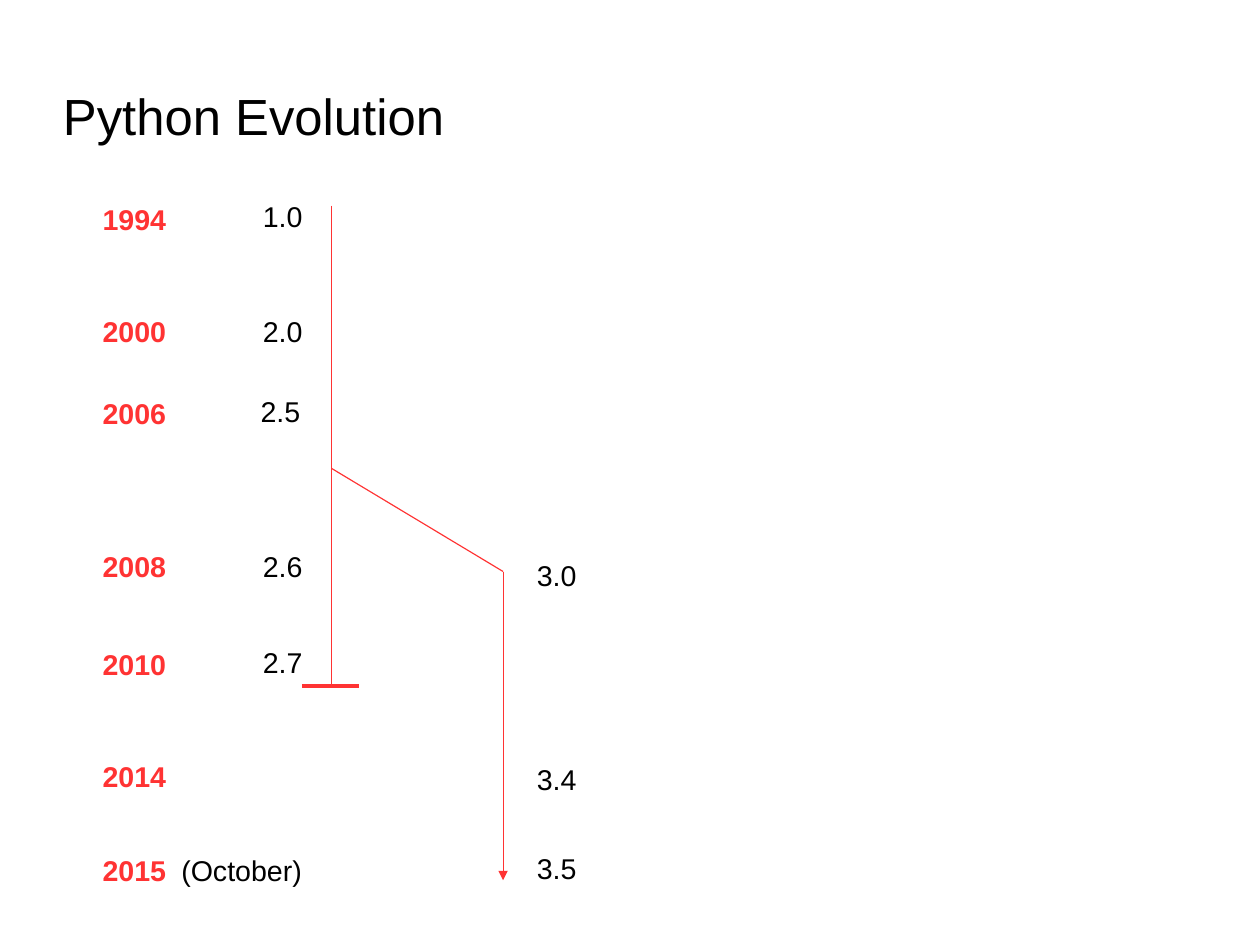
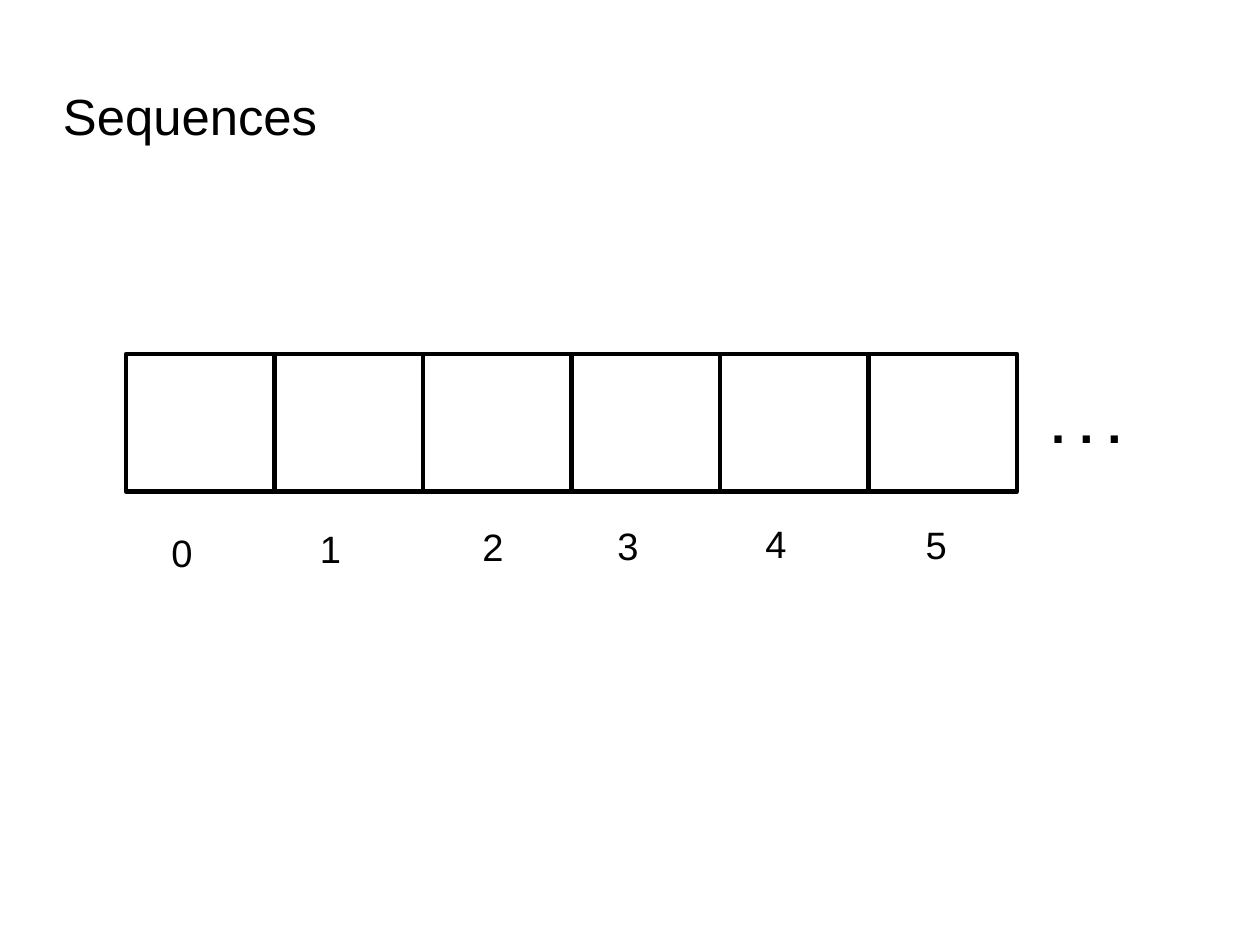
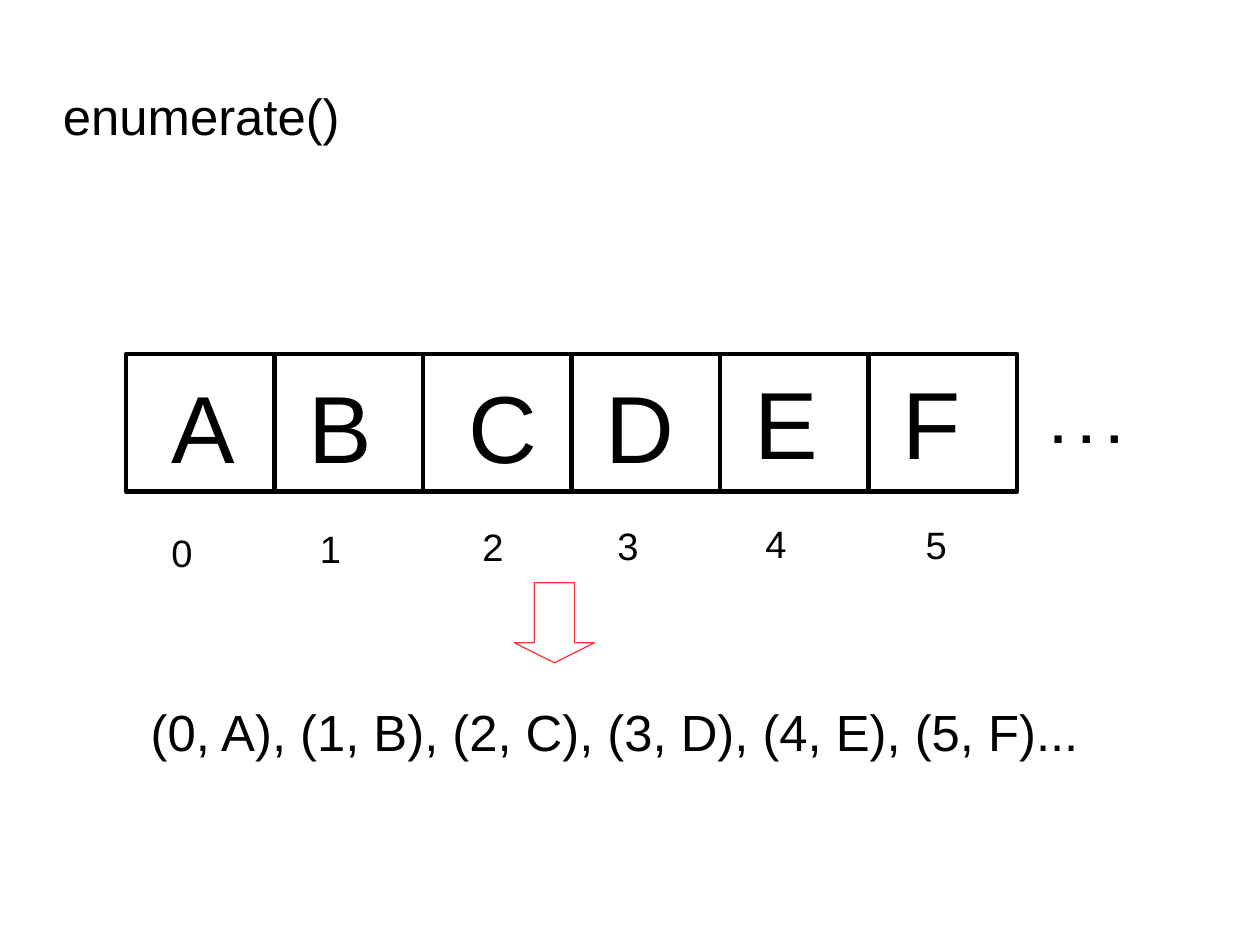
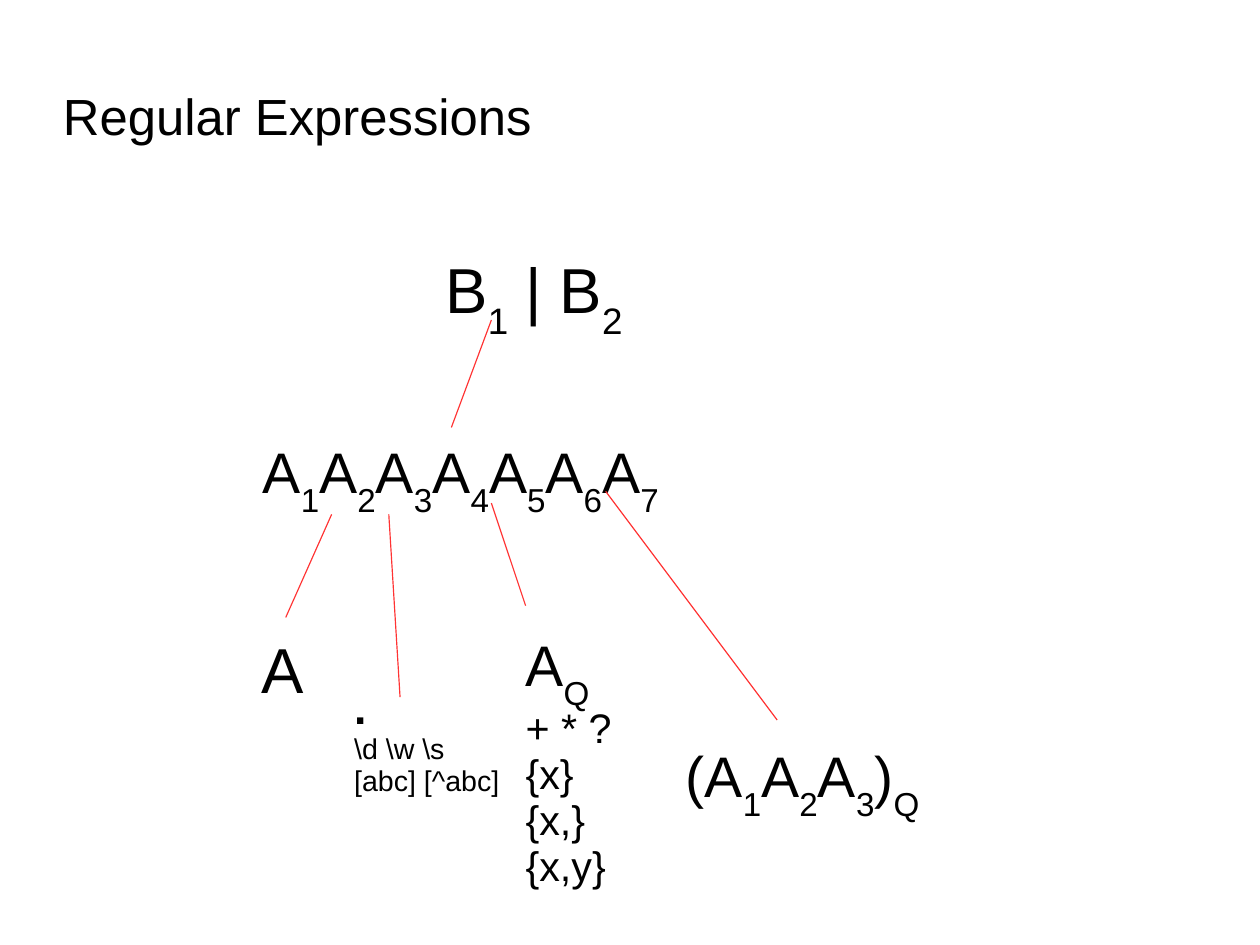
from collections import namedtuple
from dataclasses import dataclass

from lxml import etree
from pptx import Presentation
from pptx.dml.color import RGBColor
from pptx.enum import shapes, text
from pptx.oxml.ns import qn
from pptx.util import Cm, Pt

Style = namedtuple("Style", "size bold color")
BLACK = RGBColor(0x00, 0x00, 0x00)
RED = RGBColor(0xFF, 0x33, 0x33)


@dataclass(frozen=True)
class Theme:
    font: str = "Arial"
    ink: RGBColor = BLACK
    accent: RGBColor = RED
    thin: float = 0.75
    thick: float = 2.89
    spacing: float = 0.93
    title: Style = Style(32, False, BLACK)
    body: Style = Style(18, False, BLACK)
    year: Style = Style(18, True, RED)
    index: Style = Style(24, False, BLACK)
    quantifier: Style = Style(26, False, BLACK)
    dot: Style = Style(28, True, BLACK)
    ellipsis: Style = Style(32, True, BLACK)
    term: Style = Style(36, False, BLACK)
    symbol: Style = Style(40, False, BLACK)
    letter: Style = Style(60, False, BLACK)


theme = Theme()


def add_text(s, x, y, w, h, *lines):
    """Add a box of (string, style) lines; an underscore lowers the next character."""
    tf = s.shapes.add_textbox(Cm(x), Cm(y), Cm(w), Cm(h)).text_frame
    tf.word_wrap = True
    tf.margin_left = tf.margin_right = Cm(0.25)
    tf.margin_top, tf.margin_bottom = Cm(0.18), Cm(0.13)
    for n, (string, style) in enumerate(lines):
        p = tf.add_paragraph() if n else tf.paragraphs[0]
        p.line_spacing = theme.spacing
        first, *rest = string.split("_")
        runs = [(first, False)]
        for part in rest:
            runs += [(part[0], True), (part[1:], False)]
        for content, lowered in runs:
            if not content:
                continue
            r = p.add_run()
            r.text = content
            r.font.name, r.font.size, r.font.bold = theme.font, Pt(style.size), style.bold
            r.font.color.rgb = style.color
            if lowered:
                r._r.get_or_add_rPr().set("baseline", "-33000")


def add_line(s, x1, y1, x2, y2, width=theme.thin, arrow=False):
    c = s.shapes.add_connector(shapes.MSO_CONNECTOR.STRAIGHT, Cm(x1), Cm(y1), Cm(x2), Cm(y2))
    c.line.color.rgb = theme.accent
    c.line.width = Pt(width)
    spPr = c._element.spPr
    if arrow:
        etree.SubElement(spPr.find(qn("a:ln")), qn("a:tailEnd"), type="triangle")
    etree.SubElement(spPr, qn("a:effectLst"))


prs = Presentation()
prs.slide_width, prs.slide_height = Cm(28), Cm(21)

# Titles
slides = []
for title in ("Python Evolution", "Sequences", "enumerate()", "Regular Expressions"):
    s = prs.slides.add_slide(prs.slide_layouts[5])
    sp = s.shapes.title
    sp.left, sp.top, sp.width, sp.height = Cm(1.4), Cm(1.6), Cm(20), Cm(2)
    tf = sp.text_frame
    tf.auto_size = text.MSO_AUTO_SIZE.NONE
    tf.vertical_anchor = text.MSO_ANCHOR.MIDDLE
    tf.margin_left = tf.margin_right = tf.margin_bottom = 0
    tf.margin_top = Cm(0.08)
    p = tf.paragraphs[0]
    p.alignment = text.PP_ALIGN.LEFT
    p.line_spacing = theme.spacing
    r = p.add_run()
    r.text = title
    r.font.name, r.font.size = theme.font, Pt(theme.title.size)
    r.font.color.rgb = theme.title.color
    slides.append(s)
evolution, sequences, enumeration, regex = slides

# Python Evolution
trunk_x, branch_x = 7.37, 11.18
fork_y, branch_y, trunk_end = 10.41, 12.7, 15.24
add_line(evolution, trunk_x, 4.57, trunk_x, trunk_end)
add_line(evolution, trunk_x, fork_y, branch_x, branch_y)
add_line(evolution, branch_x, branch_y, branch_x, 19.56, arrow=True)
add_line(evolution, 6.71, trunk_end, 7.97, trunk_end, theme.thick)

for year, y in (("1994", 4.37), ("2000", 6.86), ("2006", 8.69), ("2008", 12.09),
                ("2010", 14.27), ("2014", 16.76), ("2015", 18.85)):
    add_text(evolution, 2.03, y, 2.03, 0.97, (year, theme.year))
for version, x, y in (("1.0", 5.59, 4.32), ("2.0", 5.59, 6.86), ("2.5", 5.54, 8.64),
                      ("2.6", 5.59, 12.09), ("2.7", 5.59, 14.22), ("3.0", 11.68, 12.29),
                      ("3.4", 11.68, 16.81), ("3.5", 11.68, 18.8)):
    add_text(evolution, x, y, 1.52, 0.97, (version, theme.body))
add_text(evolution, 3.78, 18.85, 4.06, 0.97, ("(October)", theme.body))

# Sequences and enumerate(): the same row of cells and indices
index_places = ((3.56, 11.68), (6.86, 11.58), (10.47, 11.55),
                (13.47, 11.53), (16.76, 11.48), (20.32, 11.5))
cell_w, cell_h = 3.3, 3.05
for s in (sequences, enumeration):
    for i, (x, y) in enumerate(index_places):
        sp = s.shapes.add_shape(shapes.MSO_SHAPE.RECTANGLE, Cm(2.8 + i * cell_w), Cm(7.87),
                                Cm(cell_w), Cm(cell_h))
        sp.shadow.inherit = False
        sp.fill.background()
        sp.line.color.rgb = theme.ink
        sp.line.width = Pt(theme.thick)
        add_text(s, x, y, 1.27, 1.19, (str(i), theme.index))
    add_text(s, 23.11, 8.66, 2.54, 1.52, (". . .", theme.ellipsis))

# enumerate(): letters, arrow and resulting pairs
for letter, x, y in (("A", 3.56, 8.23), ("B", 6.6, 8.23), ("C", 10.16, 8.23),
                     ("D", 13.21, 8.23), ("E", 16.51, 8.15), ("F", 19.81, 8.15)):
    add_text(enumeration, x, y, 2.29, 2.62, (letter, theme.letter))
sp = enumeration.shapes.add_shape(shapes.MSO_SHAPE.DOWN_ARROW, Cm(11.43), Cm(12.95),
                                  Cm(1.78), Cm(1.78))
sp.adjustments[0], sp.adjustments[1] = 0.5, 0.25
sp.shadow.inherit = False
sp.fill.background()
sp.line.color.rgb = theme.accent
sp.line.width = Pt(theme.thin)
add_text(enumeration, 3.1, 15.52, 21.84, 1.78,
         ("(0, A), (1, B), (2, C), (3, D), (4, E), (5, F)...", theme.title))

# Regular Expressions
add_text(regex, 9.65, 5.38, 5.08, 2.13, ("B_1 | B_2", theme.symbol))
add_text(regex, 5.59, 9.52, 10.67, 2.16, ("A_1A_2A_3A_4A_5A_6A_7", theme.term))
add_text(regex, 5.56, 13.97, 1.5, 1.83, ("A", theme.symbol))
add_text(regex, 7.62, 15.03, 5.56, 2.77, (".", theme.dot),
         (r"\d \w \s", theme.body), ("[abc] [^abc]", theme.body))
add_text(regex, 11.43, 13.81, 3.3, 6.27, ("A_Q", theme.term),
         *((line, theme.quantifier) for line in ("+ * ?", "{x}", "{x,}", "{x,y}")))
add_text(regex, 14.99, 16.28, 8.89, 2.18, ("(A_1A_2A_3)_Q", theme.term))
for ends in ((10.92, 7.11, 10.03, 9.5), (7.37, 11.43, 6.35, 13.72),
             (8.64, 11.43, 8.89, 15.49), (10.92, 11.18, 11.68, 13.46),
             (13.46, 10.92, 17.27, 16)):
    add_line(regex, *ends)

prs.save("out.pptx")
